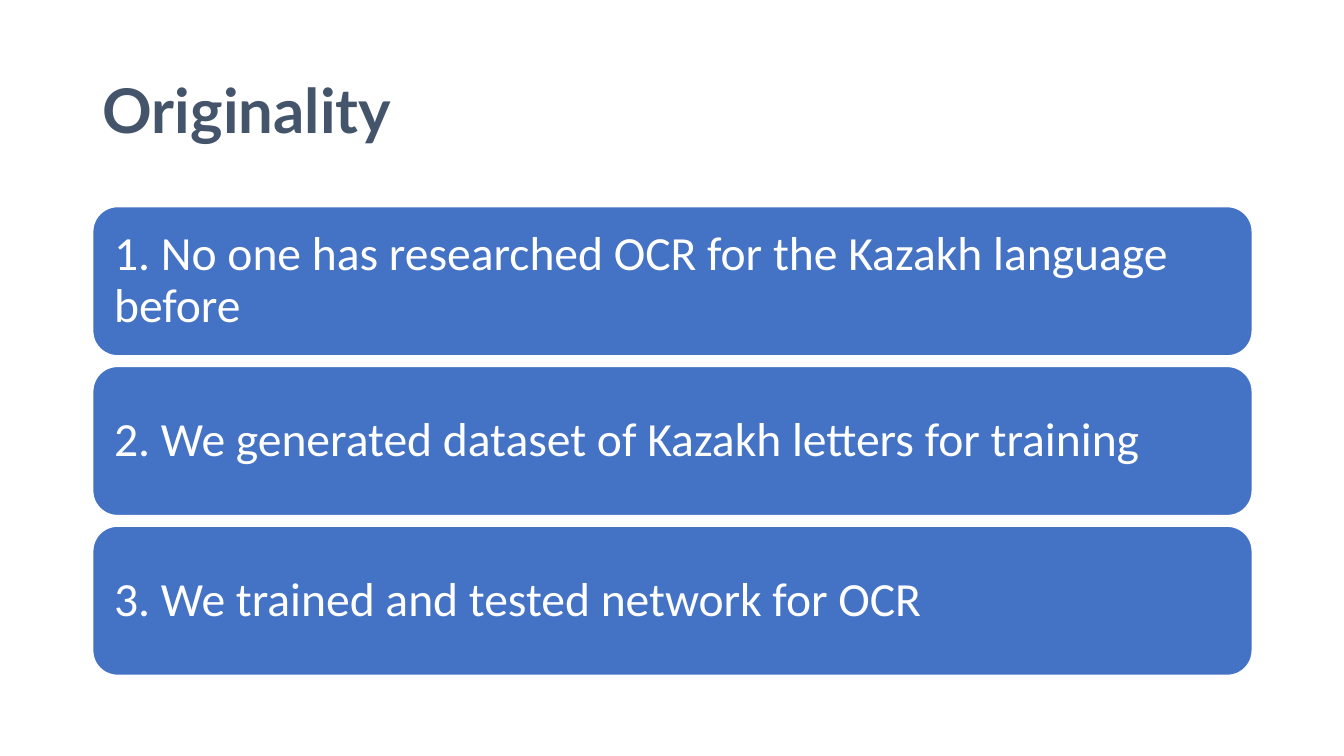
from dataclasses import dataclass

from pptx import Presentation
from pptx import util as u
from pptx.dml import color
from pptx.enum import shapes, text
from pptx.slide import Slide
from pptx.text.text import TextFrame

COLORS = {"title": "44546A", "card": "4472C4", "white": "FFFFFF"}
LEFT, WIDTH = 0.92, 11.5
CARD_TOP, CARD_HEIGHT, CARD_PITCH = 2.05, 1.48, 1.585


@dataclass(frozen=True)
class TextStyle:
    font: str
    size: float
    color: str
    bold: bool
    side_inset: float
    end_inset: float


@dataclass(frozen=True)
class Card:
    wording: str


TITLE_STYLE = TextStyle("Lato", 44, "title", True, 0.1, 0.05)
CARD_STYLE = TextStyle("Calibri", 34, "white", False, 0.14, 0.14)
CARDS = [
    Card("1. No one has researched OCR for the Kazakh language before"),
    Card("2. We generated dataset of Kazakh letters for training"),
    Card("3. We trained and tested network for OCR"),
]


def rgb(name: str) -> color.RGBColor:
    return color.RGBColor.from_string(COLORS[name])


def write_text(frame: TextFrame, wording: str, style: TextStyle) -> None:
    frame.word_wrap = True
    frame.vertical_anchor = text.MSO_ANCHOR.MIDDLE
    frame.margin_left = frame.margin_right = u.Inches(style.side_inset)
    frame.margin_top = frame.margin_bottom = u.Inches(style.end_inset)
    paragraph = frame.paragraphs[0]
    paragraph.alignment = text.PP_ALIGN.LEFT
    paragraph.line_spacing = 0.9
    run = paragraph.add_run()
    run.text = wording
    run.font.name = style.font
    run.font.size = u.Pt(style.size)
    run.font.bold = style.bold
    run.font.color.rgb = rgb(style.color)


def draw_title(slide: Slide, wording: str) -> None:
    box = slide.shapes.add_textbox(
        u.Inches(LEFT), u.Inches(0.4), u.Inches(WIDTH), u.Inches(1.45)
    )
    write_text(box.text_frame, wording, TITLE_STYLE)


def draw_card(slide: Slide, card: Card, top: float) -> None:
    shape = slide.shapes.add_shape(
        shapes.MSO_SHAPE.ROUNDED_RECTANGLE,
        u.Inches(LEFT), u.Inches(top), u.Inches(WIDTH), u.Inches(CARD_HEIGHT),
    )
    shape.shadow.inherit = False
    shape.fill.solid()
    shape.fill.fore_color.rgb = rgb("card")
    shape.line.color.rgb = rgb("white")
    shape.line.width = u.Pt(1)
    write_text(shape.text_frame, card.wording, CARD_STYLE)


def main() -> None:
    presentation = Presentation()
    presentation.slide_width = u.Inches(13.33)
    presentation.slide_height = u.Inches(7.5)
    slide = presentation.slides.add_slide(presentation.slide_layouts[6])
    draw_title(slide, "Originality")
    for index, card in enumerate(CARDS):
        draw_card(slide, card, CARD_TOP + index * CARD_PITCH)
    presentation.save("out.pptx")


if __name__ == "__main__":
    main()
